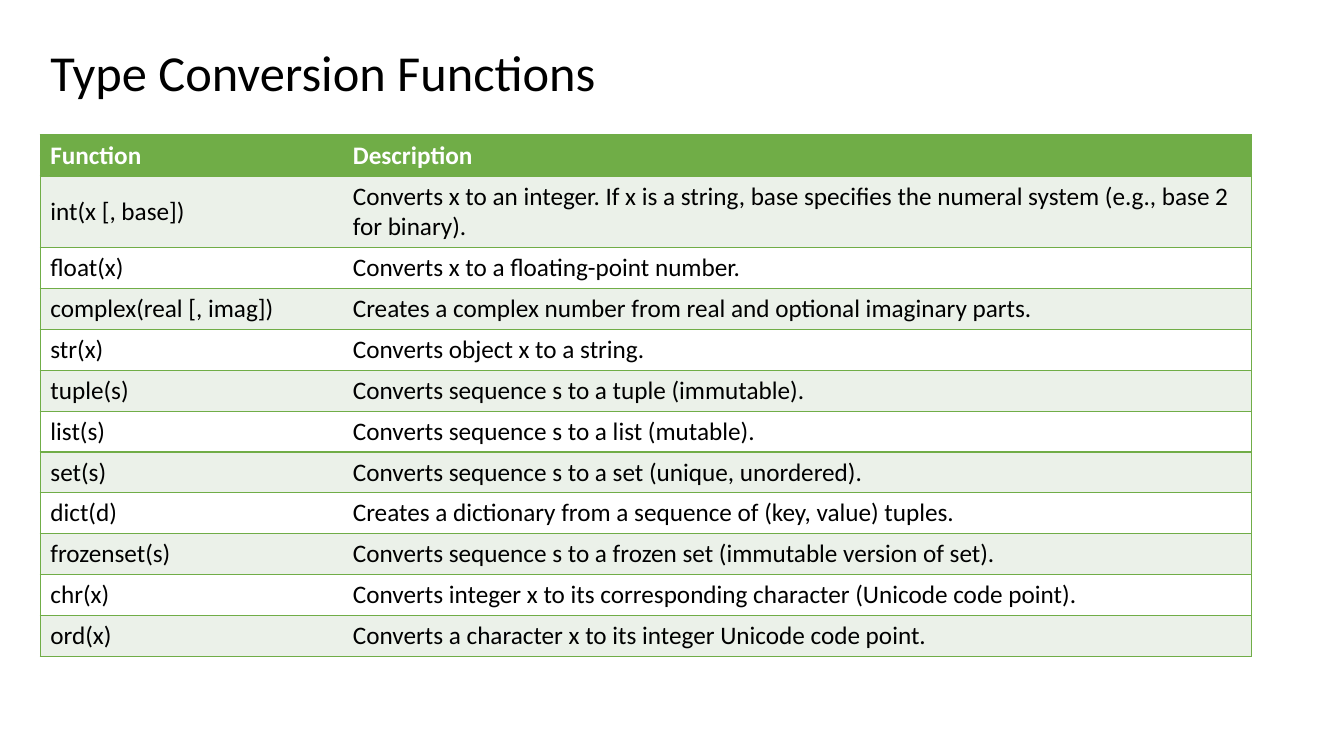
from lxml.etree import SubElement
from pptx import Presentation
from pptx.dml.color import RGBColor
from pptx.enum.text import MSO_ANCHOR as ANCHOR, PP_ALIGN as ALIGN
from pptx.oxml.ns import qn
from pptx.util import Inches, Pt

BLACK = RGBColor(0x00, 0x00, 0x00)
WHITE = RGBColor(0xFF, 0xFF, 0xFF)
GREEN = RGBColor(0x70, 0xAD, 0x47)
PALE_GREEN = RGBColor(0xEB, 0xF1, 0xE9)

FUNCTIONS = [
    ("Function", "Description"),
    ("int(x [, base])", "Converts x to an integer. If x is a string, base specifies "
                        "the numeral system (e.g., base 2 for binary)."),
    ("float(x)", "Converts x to a floating-point number."),
    ("complex(real [, imag])", "Creates a complex number from real and optional imaginary parts."),
    ("str(x)", "Converts object x to a string."),
    ("tuple(s)", "Converts sequence s to a tuple (immutable)."),
    ("list(s)", "Converts sequence s to a list (mutable)."),
    ("set(s)", "Converts sequence s to a set (unique, unordered)."),
    ("dict(d)", "Creates a dictionary from a sequence of (key, value) tuples."),
    ("frozenset(s)", "Converts sequence s to a frozen set (immutable version of set)."),
    ("chr(x)", "Converts integer x to its corresponding character (Unicode code point)."),
    ("ord(x)", "Converts a character x to its integer Unicode code point."),
]
COL_WIDTHS = (3, 9.01)
LEFT = Inches(0.4)


def set_font(p, color, **font_format):
    font = p.runs[0].font
    font.name = "Calibri"
    font.color.rgb = color
    for name, value in font_format.items():
        setattr(font, name, value)


def set_borders(cell, open_side):
    """Rule a cell in green on every side but open_side."""
    tc_pr = cell._tc.get_or_add_tcPr()
    for side in ("lnL", "lnR", "lnT", "lnB"):
        ln = SubElement(tc_pr, qn(f"a:{side}"), w=str(Pt(1)))
        if side == open_side:
            SubElement(ln, qn("a:noFill"))
        else:
            SubElement(SubElement(ln, qn("a:solidFill")), qn("a:srgbClr"), val=str(GREEN))


prs = Presentation()
prs.slide_width, prs.slide_height = Inches(13.33), Inches(7.5)
s = prs.slides.add_slide(prs.slide_layouts[5])

title = s.shapes.title
title_box = {"left": LEFT, "top": Inches(0.24), "width": Inches(11.5), "height": Inches(1.02)}
for name, value in title_box.items():
    setattr(title, name, value)
tf = title.text_frame
tf.text = "Type Conversion Functions"
tf.vertical_anchor = ANCHOR.MIDDLE
p = tf.paragraphs[0]
p.alignment = ALIGN.LEFT
p.line_spacing = 0.9
set_font(p, BLACK, size=Pt(36))

# Rows share the height evenly; the wrapped int() row grows by one line.
frame = s.shapes.add_table(len(FUNCTIONS), len(COL_WIDTHS), LEFT, Inches(1.34),
                           Inches(sum(COL_WIDTHS)), Inches(4.87))
table = frame.table
for column, width in zip(table.columns, COL_WIDTHS):
    column.width = Inches(width)

for row, texts in enumerate(FUNCTIONS):
    header = row == 0
    fill = GREEN if header else PALE_GREEN if row % 2 else WHITE
    for col, text in enumerate(texts):
        cell = table.cell(row, col)
        set_borders(cell, open_side=("lnR", "lnL")[col])
        cell.fill.solid()
        cell.fill.fore_color.rgb = fill
        cell.vertical_anchor = ANCHOR.MIDDLE
        cell.text = text
        set_font(cell.text_frame.paragraphs[0], WHITE if header else BLACK,
                 size=Pt(18), bold=header)

prs.save("out.pptx")
